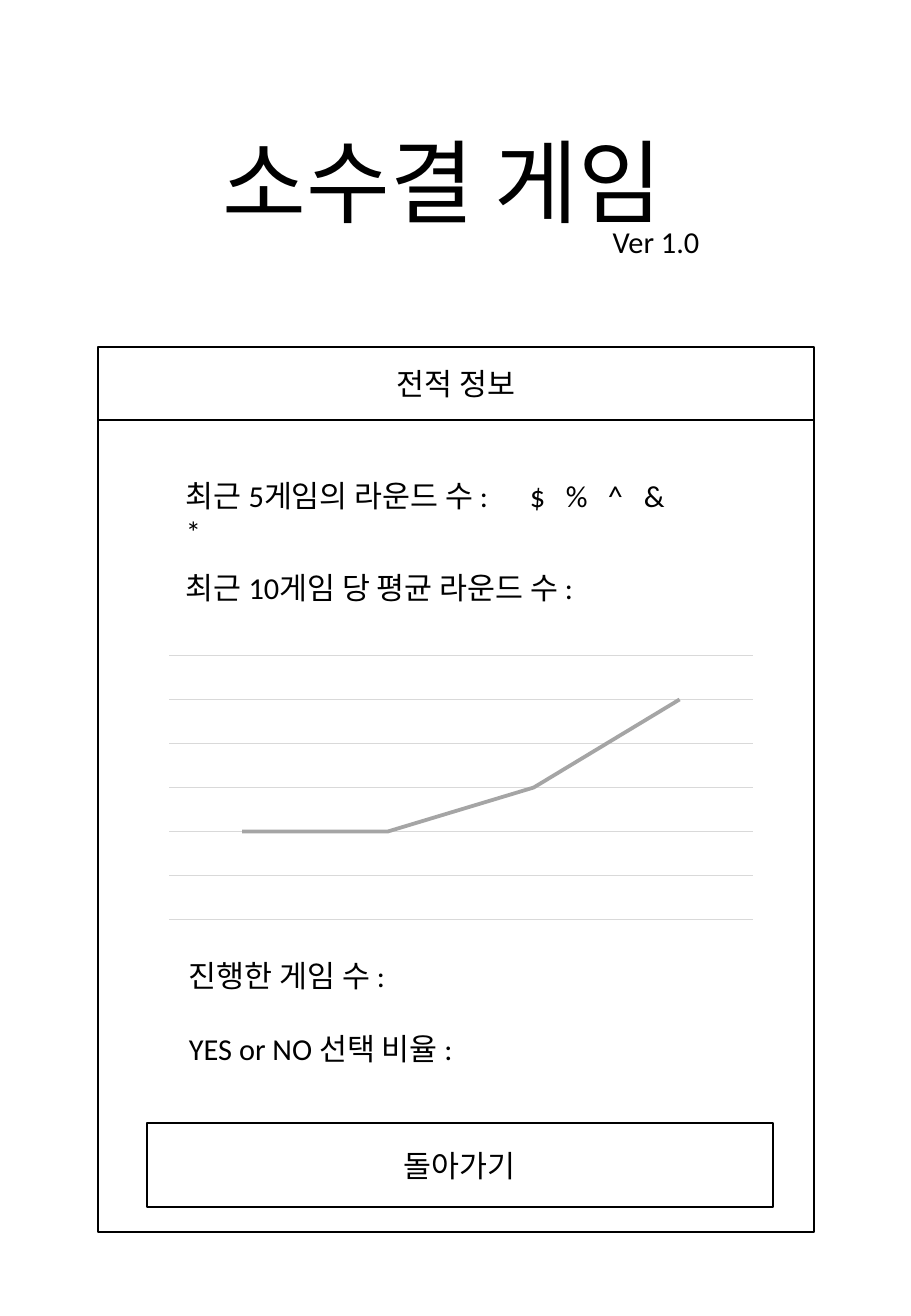
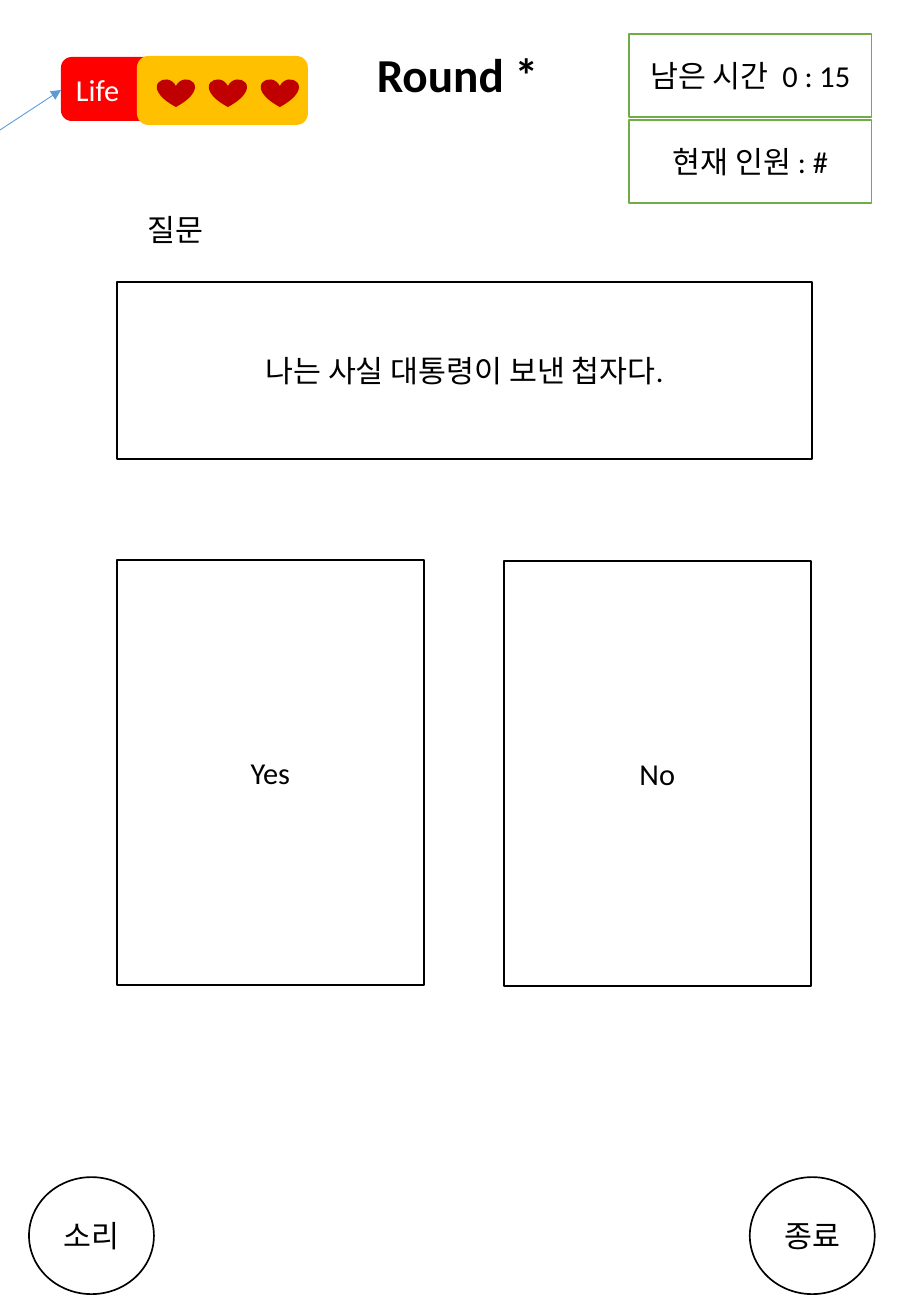
from lxml.etree import SubElement
from pptx import Presentation
from pptx.chart.data import CategoryChartData as ChartData
from pptx.dml.color import RGBColor as RGB
from pptx.enum.chart import XL_CHART_TYPE as Chart, XL_MARKER_STYLE as Marker
from pptx.enum.shapes import MSO_CONNECTOR as Wire, MSO_SHAPE as Kind
from pptx.enum.text import MSO_ANCHOR as Anchor, MSO_AUTO_SIZE as Fit, PP_ALIGN as Align
from pptx.oxml.ns import qn
from pptx.util import Inches, Pt

# Content of the record slide: boxes are left, top, width, height in pixels
GAME = ("소수결 게임", (190, 119, 505, 123), 54)
VERSION = ("Ver 1.0", (601, 217, 214, 49))
PANELS = [
    ("", (98, 418, 716, 814)),
    ("전적 정보", (98, 347, 716, 73)),
    ("돌아가기", (147, 1123, 626, 84)),
]
STATS = [
    ("최근 10게임 당 평균 라운드 수 :", (174, 563)),
    ("진행한 게임 수 :", (177, 951)),
    ("YES or NO 선택 비율 :", (177, 1024)),
]
RECENT = ("최근 5게임의 라운드 수 :\t$\t%\t^\t&\v*", (174, 471))
STAT_SIZE = (538, 49)
TABS = (344, 380, 422, 458)
TREND_BOX = (157, 650, 608, 275)
ROUNDS = [40, 40, 60, 100]

# Content of the round slide
ROUND = ("Round *", (364, 39, 187, 69), 28)
LABEL = ("질문", (136, 205, 148, 49))
CARDS = [
    ("나는 사실 대통령이 보낸 첩자다.", (117, 282, 695, 177)),
    ("Yes", (117, 560, 307, 425)),
    ("No", (504, 561, 307, 425)),
]
KEYS = [("소리", 29), ("종료", 750)]
STATUS = ["남은 시간  0 : 15", "현재 인원 : #"]
LIVES = 3

# Shared style
FONT = "Calibri"
BLACK, WHITE = RGB(0, 0, 0), RGB(255, 255, 255)
RED, GOLD, HEART = RGB(255, 0, 0), RGB(255, 192, 0), RGB(192, 0, 0)
GREEN, BLUE = RGB(0x70, 0xAD, 0x47), RGB(0x5B, 0x9B, 0xD5)
GRAY, GRID = RGB(0xA5, 0xA5, 0xA5), RGB(0xD9, 0xD9, 0xD9)
SCALE = Inches(1) / 121.5


def emu(*nums):
    return [round(n * SCALE) for n in nums]


def write(frame, text, size=18, color=BLACK, align=Align.LEFT, bold=False):
    par = frame.paragraphs[0]
    par.text = text
    par.alignment = align
    font = par.font
    font.name, font.size, font.bold = FONT, Pt(size), bold
    font.color.rgb = color
    return par


def add_page(text, box, size, bold=False):
    page = deck.slides.add_slide(deck.slide_layouts[5])
    title = page.shapes.title
    title.left, title.top, title.width, title.height = emu(*box)
    frame = title.text_frame
    frame.word_wrap, frame.auto_size = False, Fit.NONE
    frame.vertical_anchor = Anchor.TOP
    write(frame, text, size, align=Align.CENTER, bold=bold)
    return page.shapes


def add_note(shapes, text, box):
    frame = shapes.add_textbox(*emu(*box)).text_frame
    frame.word_wrap, frame.auto_size = True, Fit.SHAPE_TO_FIT_TEXT
    return write(frame, text)


def add_box(shapes, text, box, kind=Kind.RECTANGLE, fill=WHITE, line=BLACK,
            color=BLACK, align=Align.CENTER):
    shape = shapes.add_shape(kind, *emu(*box))
    shape.shadow.inherit = False
    shape.fill.solid()
    shape.fill.fore_color.rgb = fill
    if line is None:
        shape.line.fill.background()
    else:
        shape.line.color.rgb, shape.line.width = line, Pt(1)
    if text:
        shape.text_frame.vertical_anchor = Anchor.MIDDLE
        write(shape.text_frame, text, color=color, align=align)


def add_trend(shapes):
    data = ChartData()
    data.categories = [str(n + 1) for n in range(len(ROUNDS))]
    data.add_series("Series 1", ROUNDS)
    chart = shapes.add_chart(Chart.LINE, *emu(*TREND_BOX), data).chart
    chart.has_title = chart.has_legend = False
    chart.font.name, chart.font.size = FONT, Pt(10)
    chart.font.color.rgb = BLACK
    chart.category_axis.visible = False
    axis = chart.value_axis
    axis.visible = False
    axis.minimum_scale, axis.maximum_scale, axis.major_unit = 0, 120, 20
    rule = axis.major_gridlines.format.line
    rule.color.rgb, rule.width = GRID, Pt(0.75)
    plot = chart.plots[0]
    plot.vary_by_categories = False
    line = plot.series[0]
    line.smooth = False
    line.marker.style = Marker.NONE
    line.format.line.color.rgb, line.format.line.width = GRAY, Pt(2.25)


def add_arrow(shapes, start, end):
    wire = shapes.add_connector(Wire.STRAIGHT, *emu(*start, *end))
    wire.line.color.rgb, wire.line.width = BLUE, Pt(0.5)
    SubElement(wire.line._get_or_add_ln(), qn("a:tailEnd"), type="triangle")
    SubElement(wire._element.spPr, qn("a:effectLst"))


deck = Presentation()
deck.slide_width, deck.slide_height = Inches(7.5), Inches(10.83)

# Record slide
shapes = add_page(*GAME)
add_note(shapes, *VERSION)
for text, box in PANELS:
    add_box(shapes, text, box)
for text, spot in STATS:
    add_note(shapes, text, spot + STAT_SIZE)
add_trend(shapes)
text, spot = RECENT
props = add_note(shapes, text, spot + STAT_SIZE)._p.get_or_add_pPr()
stops = SubElement(props, qn("a:tabLst"))
props.insert(0, stops)
for stop in emu(*TABS):
    SubElement(stops, qn("a:tab"), pos=str(stop), algn="l")

# Round slide
shapes = add_page(*ROUND, bold=True)
add_note(shapes, *LABEL)
for text, box in CARDS:
    add_box(shapes, text, box)
for text, left in KEYS:
    add_box(shapes, text, (left, 1177, 125, 117), Kind.OVAL)
for i, text in enumerate(STATUS):
    add_box(shapes, text, (629, 34 + 86 * i, 243, 83), line=GREEN)

# Life bar with its hearts and arrow
add_box(shapes, "Life", (61, 57, 102, 64), Kind.ROUNDED_RECTANGLE, RED, None,
        WHITE, Align.LEFT)
add_box(shapes, "", (137, 56, 171, 69), Kind.ROUNDED_RECTANGLE, GOLD, None)
for i in range(LIVES):
    add_box(shapes, "", (157 + 52 * i, 79, 38, 28), Kind.HEART, HEART, None)
add_arrow(shapes, (0, 130), (61, 90))

deck.save("out.pptx")
